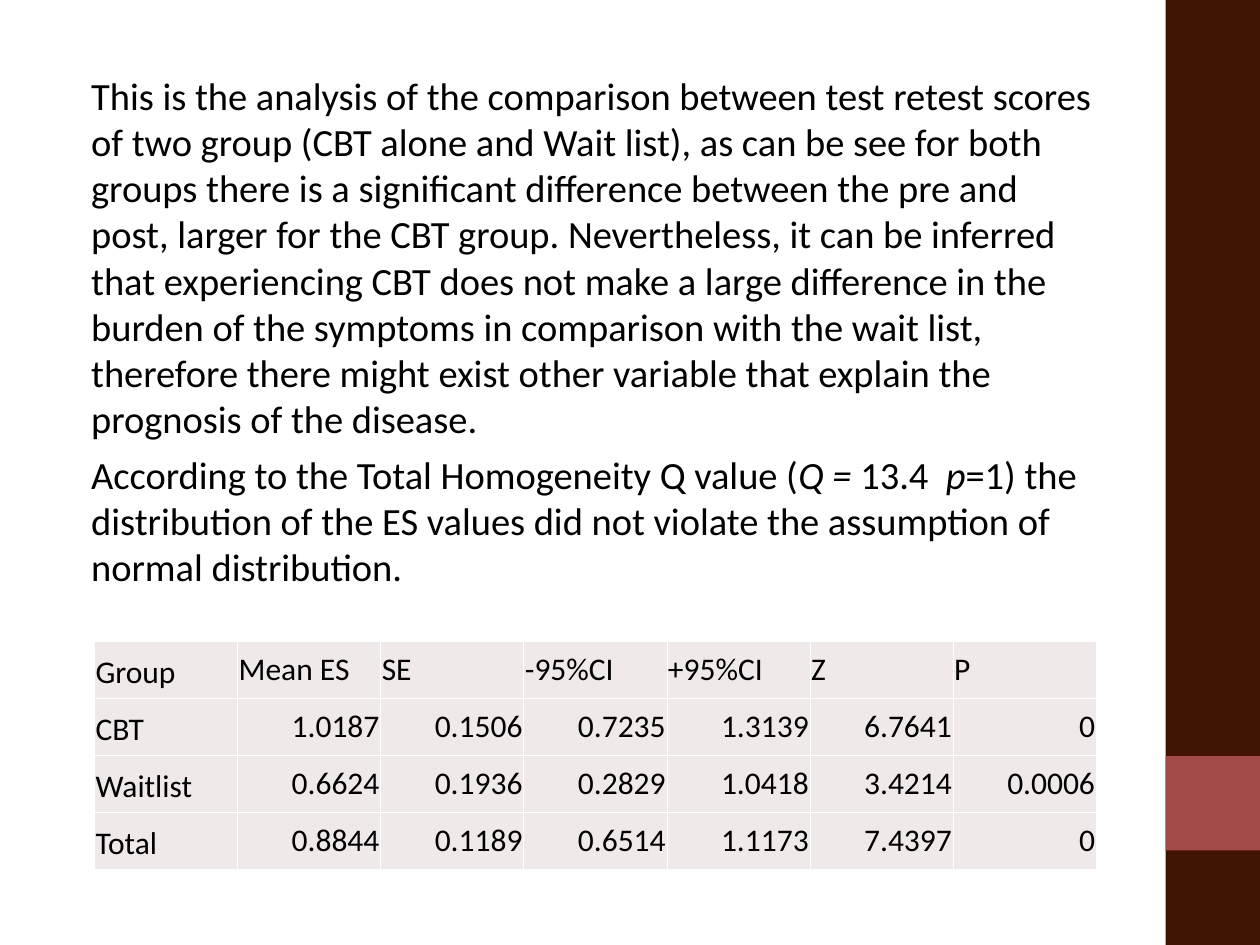
from dataclasses import dataclass

from lxml import etree
from pptx import Presentation
from pptx.dml.color import RGBColor
from pptx.enum import shapes, text
from pptx.oxml import ns
from pptx.util import Pt

FONT = "Calibri"
BLACK, WHITE, CELL_FILL = "000000", "FFFFFF", "F0E9E9"


@dataclass
class Band:
    top: float
    height: float
    fill: str


@dataclass
class Run:
    words: str
    italic: bool = False


BANDS = [Band(0, 540, "411401"), Band(432, 54, "A24A48")]
PARAGRAPHS = [
    [Run("This is the analysis of the comparison between test retest scores of two group "
         "(CBT alone and Wait list), as can be see for both groups there is a significant "
         "difference between the pre and post, larger for the CBT group. Nevertheless, it can "
         "be inferred that experiencing CBT does not make a large difference in the burden of "
         "the symptoms in comparison with the wait list, therefore there might exist other "
         "variable that explain the prognosis of the disease.")],
    [Run("According to the Total Homogeneity Q value ("), Run("Q = ", True), Run("13.4  "),
     Run("p", True), Run("=1) the distribution of the ES values did not violate the "
                         "assumption of normal distribution.")],
]
RESULTS = [
    ["Group", "Mean ES", "SE", "-95%CI", "+95%CI", "Z", "P"],
    ["CBT", "1.0187", "0.1506", "0.7235", "1.3139", "6.7641", "0"],
    ["Waitlist", "0.6624", "0.1936", "0.2829", "1.0418", "3.4214", "0.0006"],
    ["Total", "0.8844", "0.1189", "0.6514", "1.1173", "7.4397", "0"],
]


def color(value: str) -> RGBColor:
    return RGBColor.from_string(value)


def set_attributes(target, values: dict) -> None:
    for name, value in values.items():
        setattr(target, name, value)


def add_run(paragraph, run: Run, size: float) -> None:
    part = paragraph.add_run()
    part.text = run.words
    set_attributes(part.font, {"name": FONT, "size": Pt(size), "italic": run.italic})
    part.font.color.rgb = color(BLACK)


def add_band(slide, band: Band) -> None:
    shape = slide.shapes.add_shape(shapes.MSO_SHAPE.RECTANGLE, Pt(666), Pt(band.top),
                                   Pt(54), Pt(band.height))
    shape.shadow.inherit = False
    shape.fill.solid()
    shape.fill.fore_color.rgb = color(band.fill)
    shape.line.fill.background()


def add_analysis(slide) -> None:
    frame = slide.shapes.add_textbox(Pt(36), Pt(37.5), Pt(600), Pt(466.5)).text_frame
    frame.word_wrap = True
    for index, runs in enumerate(PARAGRAPHS):
        paragraph = frame.add_paragraph() if index else frame.paragraphs[0]
        paragraph.space_before = Pt(5.5 if index else 0)
        paragraph._p.get_or_add_pPr().set("marL", str(Pt(9)))
        for run in runs:
            add_run(paragraph, run, 22)


def add_borders(cell) -> None:
    """Put a thin white line on each side; borders must precede the cell fill."""
    properties = cell._tc.get_or_add_tcPr()
    for side in ("lnL", "lnR", "lnT", "lnB"):
        line = etree.SubElement(properties, ns.qn(f"a:{side}"), w=str(Pt(0.45)))
        fill = etree.SubElement(line, ns.qn("a:solidFill"))
        etree.SubElement(fill, ns.qn("a:srgbClr"), val=WHITE)


def add_results(slide) -> None:
    row_count, column_count = len(RESULTS), len(RESULTS[0])
    table = slide.shapes.add_table(row_count, column_count, Pt(54), Pt(366.5),
                                   Pt(572.6), Pt(130.4)).table
    set_attributes(table, {"first_row": False, "horz_banding": False})
    anchors, alignments = text.MSO_ANCHOR, text.PP_ALIGN
    for row, values in enumerate(RESULTS):
        for column, value in enumerate(values):
            cell = table.cell(row, column)
            set_attributes(cell, {
                "margin_left": Pt(0.6), "margin_right": Pt(0.75),
                "margin_top": Pt(3.6), "margin_bottom": Pt(3.6),
                "vertical_anchor": anchors.MIDDLE if column else anchors.BOTTOM,
            })
            add_borders(cell)
            cell.fill.solid()
            cell.fill.fore_color.rgb = color(CELL_FILL)
            paragraph = cell.text_frame.paragraphs[0]
            paragraph.alignment = alignments.RIGHT if row and column else alignments.LEFT
            add_run(paragraph, Run(value), 18)


def main() -> None:
    presentation = Presentation()
    set_attributes(presentation, {"slide_width": Pt(720), "slide_height": Pt(540)})
    slide = presentation.slides.add_slide(presentation.slide_layouts[6])
    for band in BANDS:
        add_band(slide, band)
    add_analysis(slide)
    add_results(slide)
    presentation.save("out.pptx")


if __name__ == "__main__":
    main()
